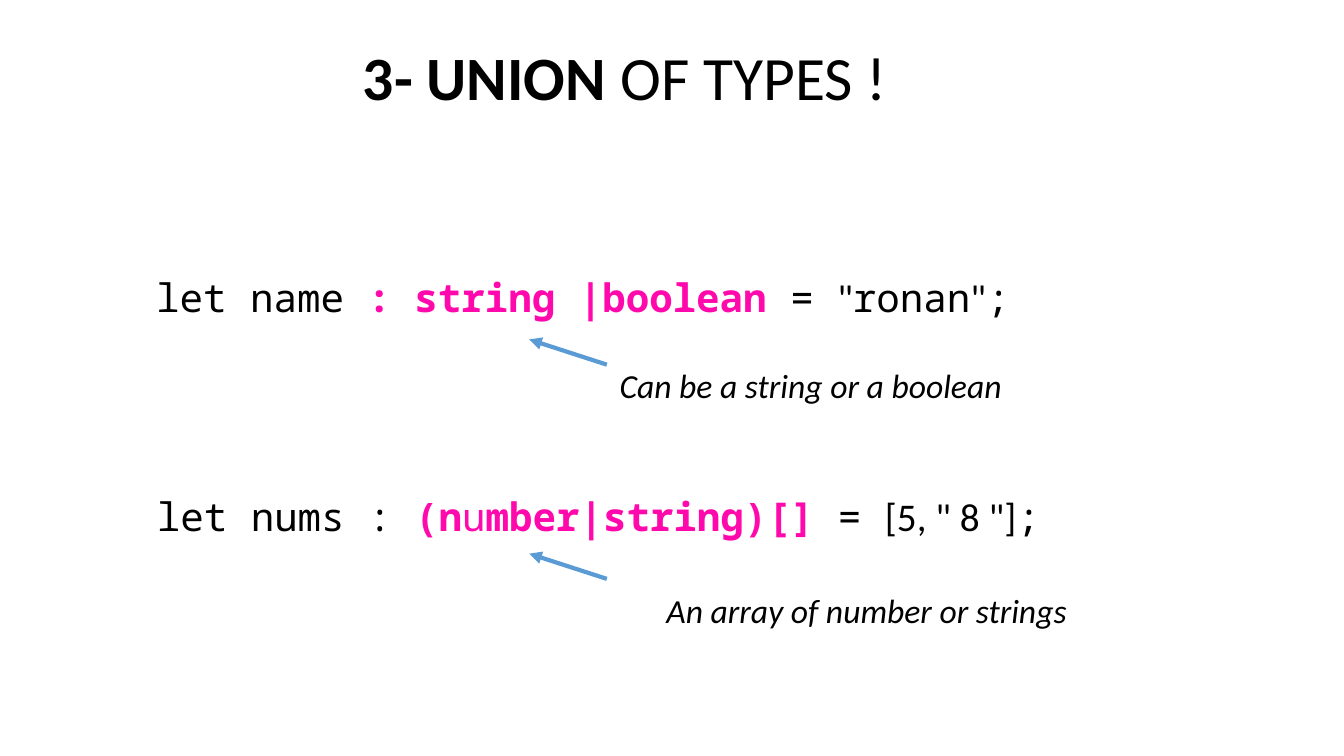
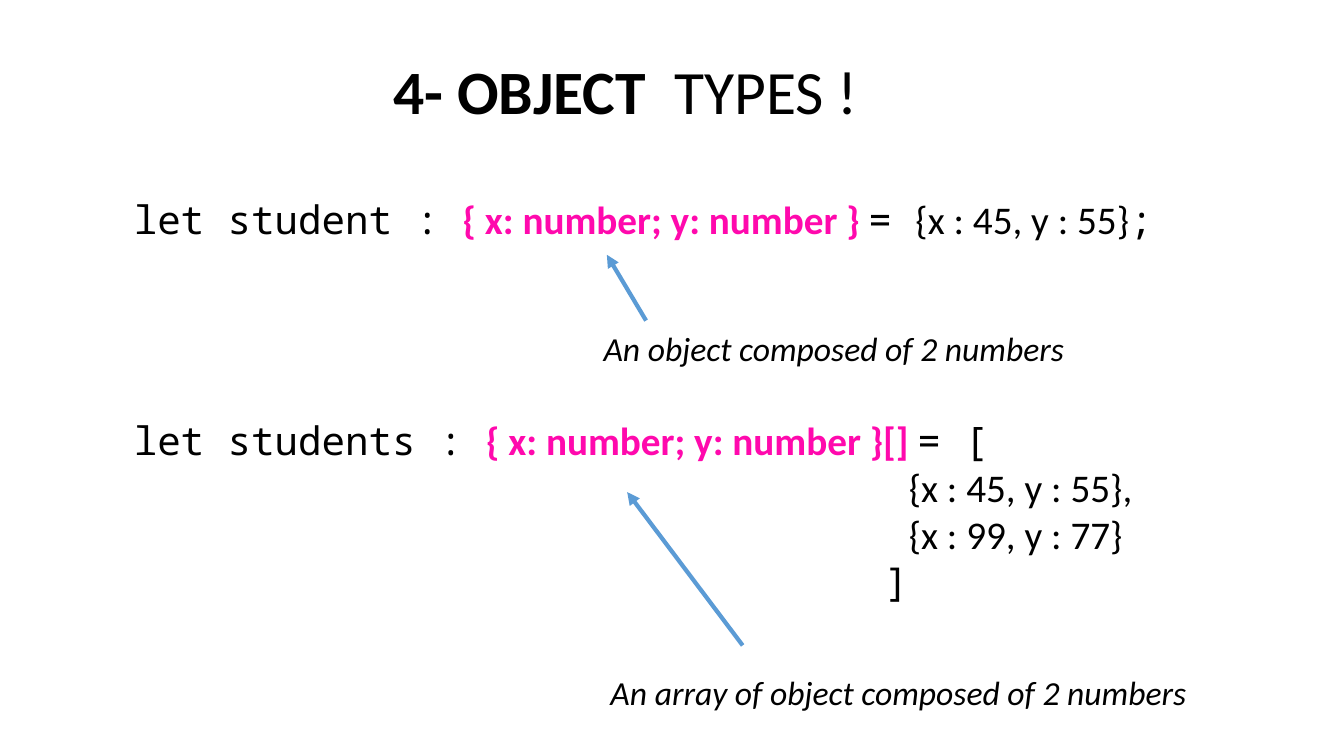
from lxml import etree
from pptx import Presentation
from pptx.dml.color import RGBColor
from pptx.enum import shapes, text
from pptx.oxml import ns
from pptx.util import Pt

COLOURS = {"ink": "000000", "type": "FF09AD", "arrow": "5B9BD5"}
SANS, MONO = "Calibri", "Noto Sans Mono"
STYLES = {
    "code": (MONO, "ink", False),
    "value": (SANS, "ink", False),
    "code type": (MONO, "type", True),
    "thin type": (MONO, "type", False),
    "object type": (SANS, "type", True),
}
INDENT = " " * 33

LESSONS = [
    {
        "title": ("3- UNION", " OF TYPES !", (250, 24, 393, 60)),
        "declarations": [
            ((104.5, 191.5, 629, 41), [[
                ("let name ", "code"), (": string |boolean ", "code type"),
                ("= ", "code"), ('"', "value"), ("ronan", "code"),
                ('"', "value"), (";", "code")]]),
            ((105, 348, 657, 41), [[
                ("let nums : ", "code"), ("(n", "code type"),
                ("u", "thin type"), ("mber|string)[] ", "code type"),
                ("= ", "code"), ('[5, " 8 "]', "value"), (";", "code")]]),
        ],
        "remarks": [
            ("Can be a string or a boolean", (433.5, 257, 291, 36), "CENTER"),
            ("An array of number or strings", (467, 417.5, 304, 36), "CENTER"),
        ],
        "arrows": [(433.5, 260.5, 378, 242.5), (433.5, 413.5, 378, 395.5)],
    },
    {
        "title": ("4- OBJECT ", " TYPES !", (261.5, 34.5, 371, 60)),
        "declarations": [
            ((88.5, 136, 827, 41), [[
                ("let student : ", "code"),
                ("{ x: number; y: number } ", "object type"),
                ("= ", "code"), ("{x : 45, y : 55}", "value"), (";", "code")]]),
            ((88.5, 294, 827, 143), [
                [("let students : ", "code"),
                 ("{ x: number; y: number }[] ", "object type"),
                 ("= [", "code")],
                [(INDENT, "code"), ("{x : 45, y : 55},", "value")],
                [(INDENT, "code"), ("{x : 99, y : 77}", "value")],
                [(INDENT[1:] + "]", "code")]]),
        ],
        "remarks": [
            ("An object composed of 2 numbers", (424, 230.5, 372, 36), "LEFT"),
            ("An array of object composed of 2 numbers",
             (429, 476.5, 438, 36), "LEFT"),
        ],
        "arrows": [(461.5, 229, 433.5, 182), (530.5, 461, 448, 351.5)],
    },
]


def colour(name):
    return RGBColor.from_string(COLOURS[name])


def place(box, bounds):
    box.left, box.top, box.width, box.height = map(Pt, bounds)
    frame = box.text_frame
    frame.word_wrap = True
    frame.auto_size = text.MSO_AUTO_SIZE.NONE
    frame.vertical_anchor = text.MSO_ANCHOR.TOP
    return frame


deck = Presentation()
deck.slide_width, deck.slide_height = Pt(960), Pt(540)

for lesson in LESSONS:
    slide = deck.slides.add_slide(deck.slide_layouts[5])

    topic, rest, bounds = lesson["title"]
    heading = place(slide.shapes.title, bounds).paragraphs[0]
    heading.alignment = text.PP_ALIGN.CENTER
    heading.font.size = Pt(44)
    heading.font.name = SANS
    heading.font.color.rgb = colour("ink")
    for words, bold in ((topic, True), (rest, False)):
        part = heading.add_run()
        part.text = words
        part.font.bold = bold

    for bounds, code_lines in lesson["declarations"]:
        code = place(slide.shapes.add_textbox(0, 0, 0, 0), bounds)
        for number, pieces in enumerate(code_lines):
            line = code.add_paragraph() if number else code.paragraphs[0]
            line.font.size = Pt(28)
            for words, style in pieces:
                piece = line.add_run()
                piece.text = words
                face, ink, piece.font.bold = STYLES[style]
                piece.font.name = face
                piece.font.color.rgb = colour(ink)

    for words, bounds, alignment in lesson["remarks"]:
        remark = place(slide.shapes.add_textbox(0, 0, 0, 0), bounds).paragraphs[0]
        remark.text = words
        remark.alignment = text.PP_ALIGN[alignment]
        remark.font.size = Pt(24)
        remark.font.name = SANS
        remark.font.italic = True
        remark.font.color.rgb = colour("ink")

    for ends in lesson["arrows"]:
        arrow = slide.shapes.add_connector(
            shapes.MSO_CONNECTOR.STRAIGHT, *map(Pt, ends))
        arrow.line.color.rgb = colour("arrow")
        arrow.line.width = Pt(3)
        etree.SubElement(arrow.line._get_or_add_ln(), ns.qn("a:tailEnd"),
                         type="triangle")
        etree.SubElement(arrow._element.spPr, ns.qn("a:effectLst"))

deck.save("out.pptx")
